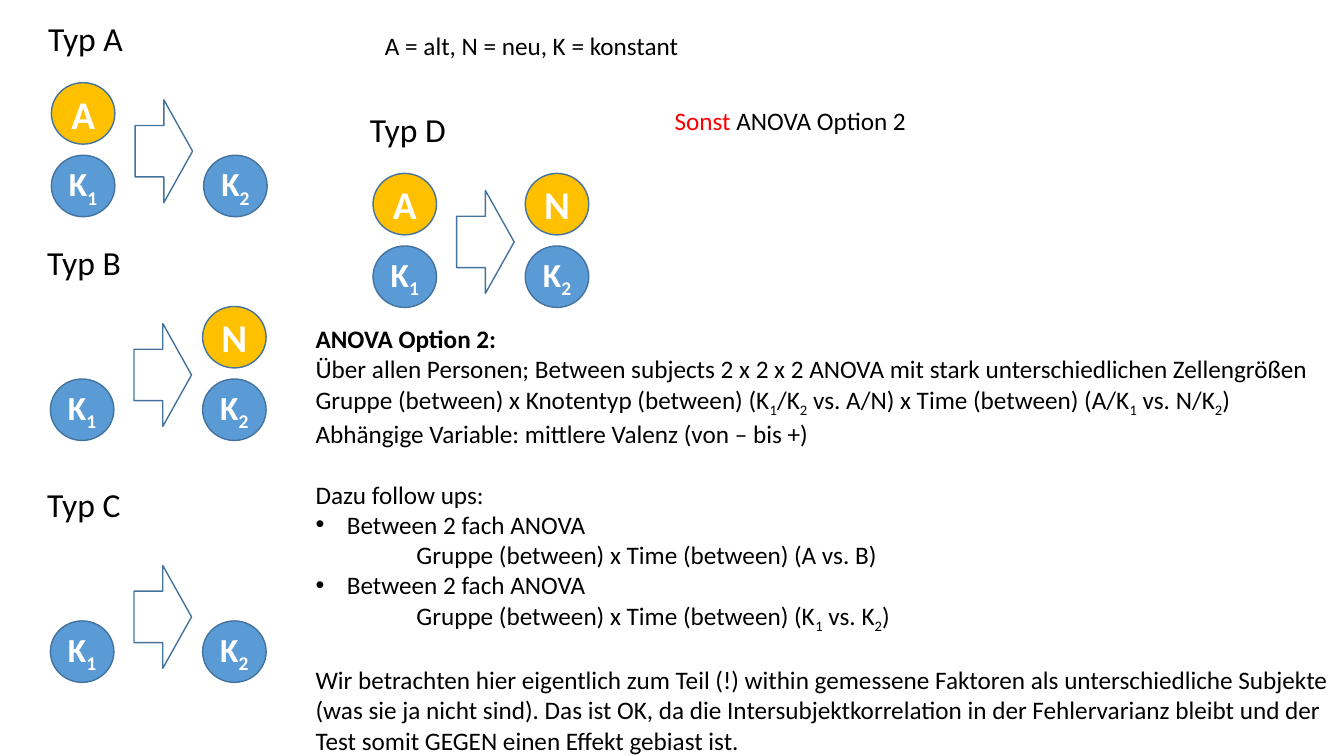
from pptx import Presentation
from pptx.dml.color import RGBColor
from pptx.enum.shapes import MSO_SHAPE as Shape
from pptx.enum.text import MSO_ANCHOR as Anchor, MSO_AUTO_SIZE as AutoSize, PP_ALIGN as Align
from pptx.util import Inches, Pt
from lxml.etree import SubElement
from pptx.oxml.ns import qn

BLACK, WHITE, RED = "000000", "FFFFFF", "FF0000"
GOLD, BLUE, OUTLINE = "FFC000", "5B9BD5", "43739E"
LINE_HEIGHT = 21.6


def colour(value):
    return RGBColor.from_string(value)


def add_text(paragraph, text, size=18, color=BLACK, bold=False, align=Align.LEFT):
    """Writes text; the character after an underscore becomes a subscript."""
    paragraph.alignment = align
    first, *rest = text.split("_")
    pieces = [(first, False)]
    for part in rest:
        pieces += [(part[0], True), (part[1:], False)]
    for piece, subscript in pieces:
        if not piece:
            continue
        run = paragraph.add_run()
        run.text = piece
        run.font.name = "Calibri"
        run.font.size = Pt(size)
        run.font.bold = bold
        run.font.color.rgb = colour(color)
        if subscript:
            run.font._element.set("baseline", "-25000")


def place(shape, left, top, width, height):
    shape.left, shape.top = Inches(left), Inches(top)
    shape.width, shape.height = Inches(width), Inches(height)
    frame = shape.text_frame
    frame.word_wrap = True
    frame.auto_size = AutoSize.NONE
    frame.vertical_anchor = Anchor.TOP
    return frame


def add_label(slide, text, box, size):
    shape = slide.shapes.add_textbox(0, 0, 0, 0)
    add_text(place(shape, *box).paragraphs[0], text, size=size)


def add_outlined(slide, kind, left, top, width, height, fill=None):
    shape = slide.shapes.add_shape(
        kind, Inches(left), Inches(top), Inches(width), Inches(height))
    shape.shadow.inherit = False
    shape.line.color.rgb = colour(OUTLINE)
    shape.line.width = Pt(1)
    if fill:
        shape.fill.solid()
        shape.fill.fore_color.rgb = colour(fill)
    else:
        shape.fill.background()
    return shape


def add_node(slide, text, left, top):
    constant = text.startswith("K")
    shape = add_outlined(slide, Shape.OVAL, left, top, 0.63, 0.61,
                         BLUE if constant else GOLD)
    frame = shape.text_frame
    frame.margin_left = frame.margin_right = 0
    frame.vertical_anchor = Anchor.MIDDLE
    add_text(frame.paragraphs[0], text, size=24 if constant else 28,
             color=WHITE, bold=True, align=Align.CENTER)


def add_type(slide, name, left, top, before, after):
    add_label(slide, name, (left, top, 2.46, 0.5), 24)
    for column, nodes in enumerate((before, after)):
        for row, node in enumerate(reversed(nodes)):
            add_node(slide, node, left + 0.13 + 1.51 * column, top + 1.41 - 0.72 * row)
    add_outlined(slide, Shape.RIGHT_ARROW, left + 0.96, top + 0.86, 0.57, 1.02)


def add_heading(slide, box):
    paragraph = place(slide.shapes.title, *box).paragraphs[0]
    add_text(paragraph, "Sonst ", color=RED)
    add_text(paragraph, "ANOVA Option 2")


def set_indent(paragraph, left, bullet):
    properties = paragraph._p.get_or_add_pPr()
    properties.set("marL", str(Inches(left)))
    properties.set("indent", str(Inches(-left if bullet else 0)))
    if bullet:
        SubElement(properties, qn("a:buFont")).set("typeface", "Arial")
        SubElement(properties, qn("a:buChar")).set("char", "•")
    else:
        SubElement(properties, qn("a:buNone"))


def add_analysis(slide, box):
    plain, bullet, detail = (0, False), (0.31, True), (1, False)
    lines = [
        ("ANOVA Option 2:", plain, 0),
        ("Über allen Personen; Between subjects 2 x 2 x 2 ANOVA mit stark "
         "unterschiedlichen Zellengrößen", plain, 0),
        ("Gruppe (between) x Knotentyp (between) (K_1/K_2 vs. A/N) x Time (between) "
         "(A/K_1 vs. N/K_2)", plain, 0),
        ("Abhängige Variable: mittlere Valenz (von – bis +)", plain, 0),
        ("Dazu follow ups:", plain, LINE_HEIGHT),
        ("Between 2 fach ANOVA", bullet, 0),
        ("Gruppe (between) x Time (between) (A vs. B)", detail, 0),
        ("Between 2 fach ANOVA", bullet, 0),
        ("Gruppe (between) x Time (between) (K_1 vs. K_2)", detail, 0),
        ("Wir betrachten hier eigentlich zum Teil (!) within gemessene Faktoren als "
         "unterschiedliche Subjekte (was sie ja nicht sind). Das ist OK, da die "
         "Intersubjektkorrelation in der Fehlervarianz bleibt und der Test somit GEGEN "
         "einen Effekt gebiast ist.", plain, LINE_HEIGHT),
    ]
    frame = place(slide.placeholders[1], *box)
    for index, (text, indent, gap) in enumerate(lines):
        paragraph = frame.add_paragraph() if index else frame.paragraphs[0]
        paragraph.space_before = Pt(gap)
        set_indent(paragraph, *indent)
        add_text(paragraph, text, bold=index == 0)


presentation = Presentation()
presentation.slide_width = Inches(13.33)
presentation.slide_height = Inches(7.5)
slide = presentation.slides.add_slide(presentation.slide_layouts[1])

add_heading(slide, (6.59, 0.99, 6.51, 0.4))
add_label(slide, "A = alt, N = neu, K = konstant", (3.72, 0.25, 3.77, 0.4), 18)
add_type(slide, "Typ A", 0.38, 0.13, ["A", "K_1"], ["K_2"])
add_type(slide, "Typ B", 0.37, 2.35, ["K_1"], ["N", "K_2"])
add_type(slide, "Typ C", 0.37, 4.75, ["K_1"], ["K_2"])
add_type(slide, "Typ D", 3.57, 1.03, ["A", "K_1"], ["N", "K_2"])
add_analysis(slide, (3.03, 3.16, 10.3, 4.34))

presentation.save("out.pptx")
